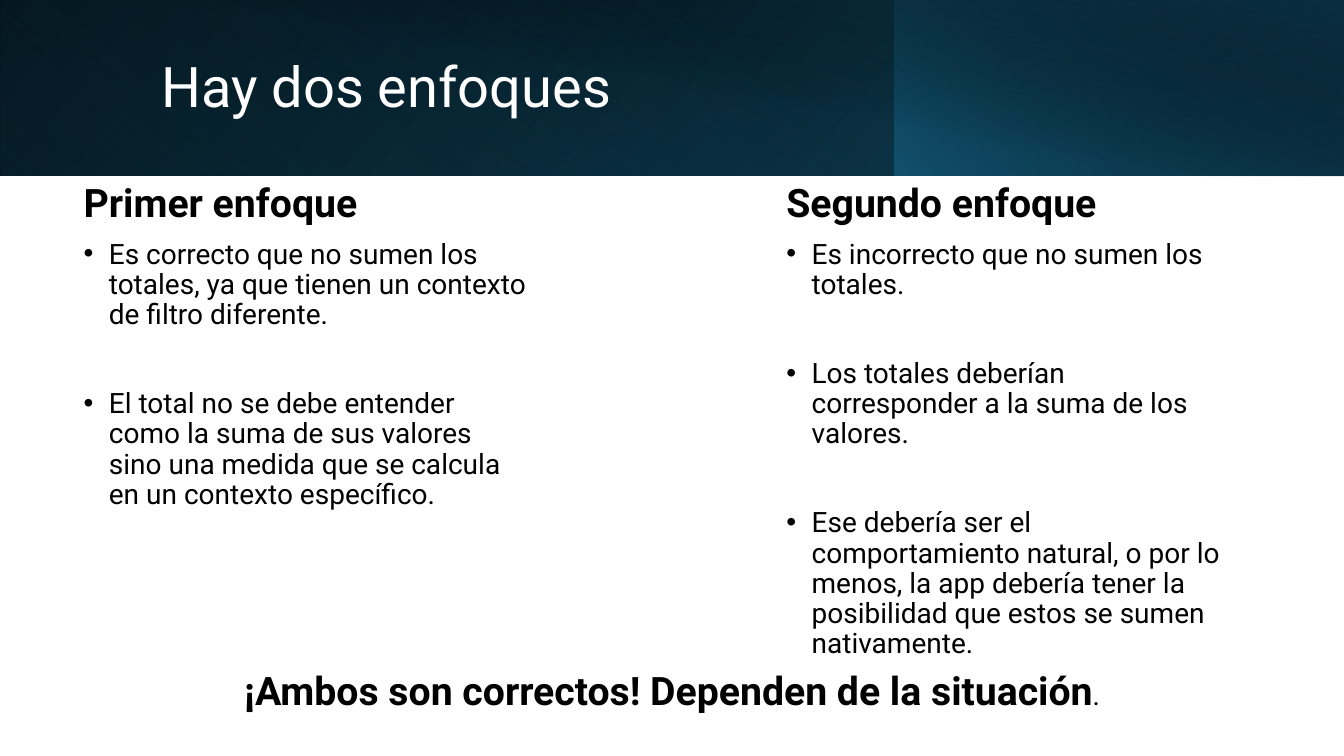
from dataclasses import dataclass

from lxml import etree
from pptx import Presentation
from pptx.dml.color import RGBColor
from pptx.enum import shapes, text
from pptx.oxml import ns
from pptx.util import Inches, Pt

FONT = "Roboto"
WHITE, BLACK = "FFFFFF", "000000"
BULLET_INDENT = Inches(0.25)
ITEM_GAP = 42


@dataclass
class Stop:
    position: int
    color: str
    opacity: int = 100


@dataclass
class Band:
    left: float
    width: float
    height: float
    angle: int
    stops: list[Stop]
    flipped: bool = True
    rotation: int = 0


@dataclass
class Approach:
    left: float
    height: float
    heading: str
    items: list[str]


BANDS = [
    Band(0, 13.33, 1.74, 140, [Stop(0, BLACK), Stop(100, "104862")]),
    Band(0, 8.88, 1.74, 230, [Stop(20, "156082", 0), Stop(100, "0B3041", 55)],
         rotation=180),
    Band(8.87, 4.46, 1.74, 220, [Stop(0, "156082", 66), Stop(100, BLACK, 30)]),
    Band(0.5, 12.83, 1.75, 280, [Stop(50, BLACK, 0), Stop(99, "0B3041", 52)],
         flipped=False),
]

APPROACHES = [
    Approach(0.73, 3.53, "Primer enfoque", [
        "Es correcto que no sumen los totales, ya que tienen un contexto de filtro diferente.",
        "El total no se debe entender como la suma de sus valores sino una medida "
        "que se calcula en un contexto específico.",
    ]),
    Approach(7.7, 4.67, "Segundo enfoque", [
        "Es incorrecto que no sumen los totales.",
        "Los totales deberían corresponder a la suma de los valores.",
        "Ese debería ser el comportamiento natural, o por lo menos, la app debería tener "
        "la posibilidad que estos se sumen nativamente.",
    ]),
]


def set_font(font, size: float, color: str = BLACK, bold: bool = False) -> None:
    font.name, font.size, font.bold = FONT, Pt(size), bold
    font.color.rgb = RGBColor.from_string(color)


def place(shape, left: float, top: float, width: float, height: float) -> None:
    shape.left, shape.top = Inches(left), Inches(top)
    shape.width, shape.height = Inches(width), Inches(height)


def set_spacing(paragraph, line: float, before: float) -> None:
    paragraph.line_spacing = line
    paragraph.space_before = Pt(before)
    paragraph.space_after = Pt(0)


def set_bullet(paragraph, bulleted: bool) -> None:
    properties = paragraph._p.get_or_add_pPr()
    indent = int(BULLET_INDENT) if bulleted else 0
    properties.set("marL", str(indent))
    properties.set("indent", str(-indent))
    if bulleted:
        font = etree.SubElement(properties, ns.qn("a:buFont"))
        font.set("typeface", "Arial")
        etree.SubElement(properties, ns.qn("a:buChar")).set("char", "•")
    else:
        etree.SubElement(properties, ns.qn("a:buNone"))


def set_gradient(shape, stops: list[Stop], angle: int) -> None:
    shape.fill.gradient()
    gradient = shape.element.spPr.find(ns.qn("a:gradFill"))
    gradient.clear()
    gradient.set("rotWithShape", "1")
    stop_list = etree.SubElement(gradient, ns.qn("a:gsLst"))
    for stop in stops:
        entry = etree.SubElement(stop_list, ns.qn("a:gs"), pos=str(stop.position * 1000))
        color = etree.SubElement(entry, ns.qn("a:srgbClr"), val=stop.color)
        if stop.opacity < 100:
            etree.SubElement(color, ns.qn("a:alpha"), val=str(stop.opacity * 1000))
    etree.SubElement(gradient, ns.qn("a:lin"), ang=str(angle * 60000), scaled="0")


def draw_band(slide, band: Band) -> None:
    shape = slide.shapes.add_shape(
        shapes.MSO_SHAPE.RECTANGLE, Inches(band.left), 0,
        Inches(band.width), Inches(band.height))
    shape.shadow.inherit = False
    shape.line.fill.background()
    shape.rotation = band.rotation
    if band.flipped:
        shape.element.spPr.find(ns.qn("a:xfrm")).set("flipH", "1")
    set_gradient(shape, band.stops, band.angle)
    # Bands lie behind the title
    slide.shapes.title.element.addprevious(shape.element)


def fill_approach(body, approach: Approach) -> None:
    place(body, approach.left, 1.77, 4.62, approach.height)
    frame = body.text_frame
    frame.auto_size = text.MSO_AUTO_SIZE.NONE
    frame.text = "\n".join([approach.heading, *approach.items])
    for index, paragraph in enumerate(frame.paragraphs):
        is_item = index > 0
        set_spacing(paragraph, 0.9, ITEM_GAP if index > 1 else 10)
        set_bullet(paragraph, is_item)
        set_font(paragraph.font, 20 if is_item else 28, bold=not is_item)


def main() -> None:
    presentation = Presentation()
    presentation.slide_width, presentation.slide_height = Inches(13.33), Inches(7.5)
    slide = presentation.slides.add_slide(
        presentation.slide_layouts.get_by_name("Two Content"))

    # Header
    for band in BANDS:
        draw_band(slide, band)
    title = slide.shapes.title
    place(title, 1.5, 0.32, 10.82, 1.13)
    title.text_frame.text = "Hay dos enfoques"
    title.text_frame.vertical_anchor = text.MSO_ANCHOR.MIDDLE
    title.text_frame.auto_size = text.MSO_AUTO_SIZE.NONE
    heading = title.text_frame.paragraphs[0]
    heading.alignment = text.PP_ALIGN.LEFT
    set_spacing(heading, 0.9, 0)
    set_font(heading.font, 40, WHITE)

    # Two columns
    for index, approach in enumerate(APPROACHES, start=1):
        fill_approach(slide.placeholders[index], approach)

    # Conclusion
    conclusion = slide.shapes.add_textbox(
        Inches(1.96), Inches(6.65), Inches(9.41), Inches(0.52))
    conclusion.text_frame.word_wrap = True
    paragraph = conclusion.text_frame.paragraphs[0]
    paragraph.alignment = text.PP_ALIGN.CENTER
    set_spacing(paragraph, 0.8, 10)
    for words, size, bold in [
        ("¡Ambos son correctos! Dependen de la situación", 28, True),
        (".", 20, False),
    ]:
        run = paragraph.add_run()
        run.text = words
        set_font(run.font, size, bold=bold)

    presentation.save("out.pptx")


if __name__ == "__main__":
    main()
